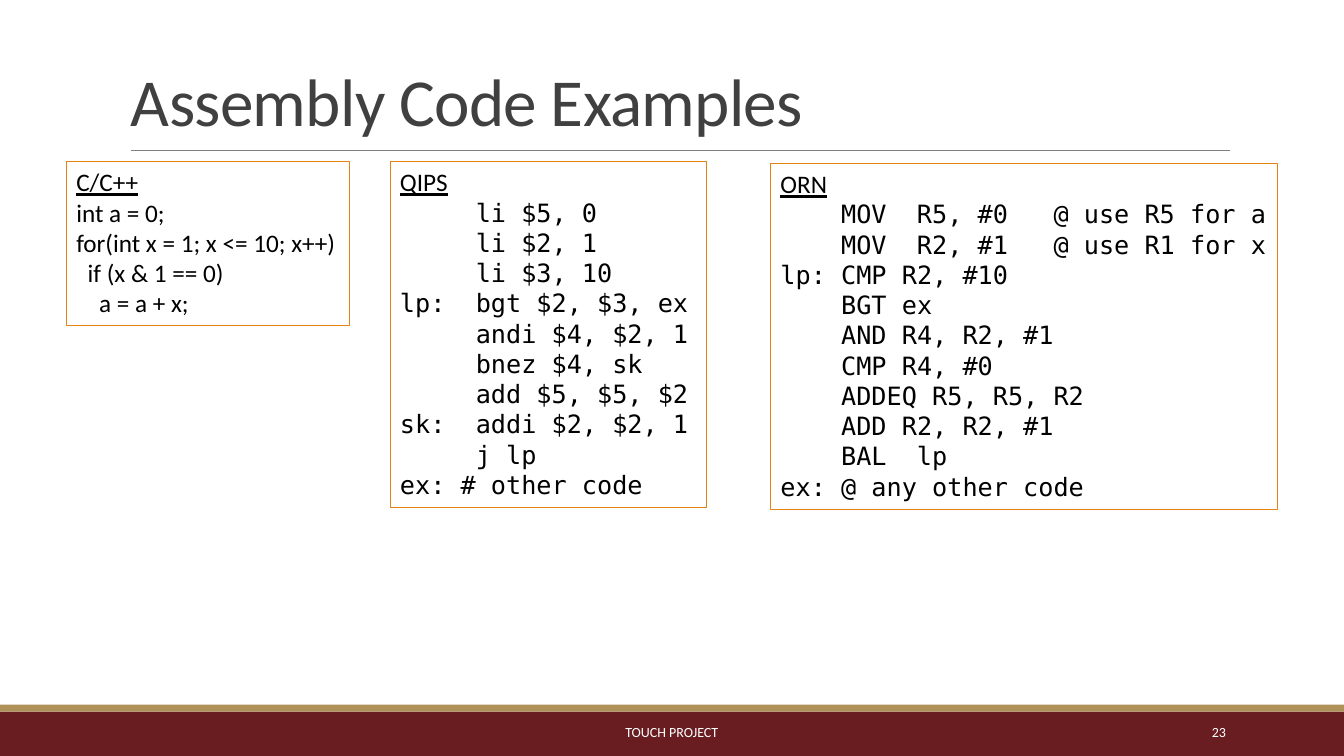
import pptx
import pptx.dml.color
import pptx.enum.shapes
import pptx.enum.text
import pptx.oxml
import pptx.oxml.ns
import pptx.util

Pt = pptx.util.Pt
RGB = pptx.dml.color.RGBColor
ALIGN = pptx.enum.text.PP_ALIGN
ANCHOR = pptx.enum.text.MSO_ANCHOR
SHAPE = pptx.enum.shapes.MSO_SHAPE

COLORS = {"maroon": "691D20", "gold": "B1915A", "rule": "808080", "title": "404040",
          "white": "FFFFFF", "black": "000000", "orange": "E48312"}
SLIDE_W, SLIDE_H = 960, 540
BAR_TOP, STRIPE_H = 508.3, 5
BODY, MONO = "Calibri", "DejaVu Sans Mono"
CODE_SIZE, INSET = 18, 7.2
SPACE_W = {BODY: 0.226 * CODE_SIZE, MONO: 0.602 * CODE_SIZE}

BARS = [(BAR_TOP, SLIDE_H - BAR_TOP, "maroon"), (BAR_TOP - STRIPE_H, STRIPE_H, "gold")]
LABELS = [
    ("Assembly Code Examples", (86.4, 22.3, 792, 81.4), 48, "title",
     {"alignment": ALIGN.LEFT, "line_spacing": 0.85}, ANCHOR.BOTTOM, -50),
    ("TOUCH PROJECT", (290.2, BAR_TOP, 379.4, 28.8), 10, "white",
     {"alignment": ALIGN.CENTER}, ANCHOR.MIDDLE, 0),
    ("23", (779.8, BAR_TOP, 103, 28.8), 10, "white",
     {"alignment": ALIGN.RIGHT}, ANCHOR.MIDDLE, 0),
]
LISTINGS = [
    {"name": "C/C++", "box": (47.4, 115.6, 202.3, 116.6), "font": BODY, "columns": (2, 4),
     "code": ["int a = 0;", "for(int x = 1; x <= 10; x++)", "\tif (x & 1 == 0)",
              "\t\ta = a + x;"]},
    {"name": "QIPS", "box": (278.6, 115.6, 226.4, 247), "font": MONO, "columns": (5,),
     "code": ["\tli $5, 0", "\tli $2, 1", "\tli $3, 10", "lp:\tbgt $2, $3, ex",
              "\tandi $4, $2, 1", "\tbnez $4, sk", "\tadd $5, $5, $2",
              "sk:\taddi $2, $2, 1", "\tj lp", "ex: # other code"]},
    {"name": "ORN", "box": (550.4, 116.8, 362.4, 247), "font": MONO, "columns": (4, 9, 18),
     "code": ["\tMOV\tR5, #0\t@ use R5 for a", "\tMOV\tR2, #1\t@ use R1 for x",
              "lp:\tCMP R2, #10", "\tBGT ex", "\tAND R4, R2, #1", "\tCMP R4, #0",
              "\tADDEQ R5, R5, R2", "\tADD R2, R2, #1", "\tBAL\tlp",
              "ex: @ any other code"]},
]


def color(name):
    """Return the named colour."""
    return RGB.from_string(COLORS[name])


def apply(target, values):
    """Set each value as an attribute of the target."""
    for key, value in values.items():
        setattr(target, key, value)


def add_run(p, text, font, size, tint, underline=False):
    """Add one formatted run to a paragraph."""
    r = p.add_run()
    r.text = text
    apply(r.font, {"name": font, "size": Pt(size), "underline": underline})
    r.font.color.rgb = color(tint)
    return r


def add_rect(s, box):
    """Add a rectangle without a shadow."""
    sp = s.shapes.add_shape(SHAPE.RECTANGLE, *map(Pt, box))
    sp.shadow.inherit = False
    return sp


def add_bar(s, top, height, tint):
    """Add a full-width colour bar."""
    sp = add_rect(s, (0, top, SLIDE_W, height))
    sp.fill.solid()
    sp.fill.fore_color.rgb = color(tint)
    sp.line.fill.background()


def add_rule(s):
    """Add the thin line under the title."""
    line = s.shapes.add_connector(pptx.enum.shapes.MSO_CONNECTOR.STRAIGHT,
                                  Pt(93.6), Pt(107.4), Pt(878.4), Pt(107.4))
    line.line.width = Pt(0.5)
    line.line.color.rgb = color("rule")
    effects = pptx.oxml.parse_xml("<a:effectLst %s/>" % pptx.oxml.ns.nsdecls("a"))
    line._element.spPr.append(effects)


def add_label(s, text, box, size, tint, layout, anchor, tracking):
    """Add a single-line text box."""
    tf = s.shapes.add_textbox(*map(Pt, box)).text_frame
    apply(tf, {"word_wrap": True, "vertical_anchor": anchor})
    p = tf.paragraphs[0]
    apply(p, layout)
    r = add_run(p, text, BODY, size, tint)
    if tracking:
        r.font._element.set("spc", str(tracking))


def add_tabs(p, stops):
    """Give a paragraph left tab stops."""
    tabs = "".join('<a:tab pos="%d" algn="l"/>' % Pt(stop) for stop in stops)
    p._p.get_or_add_pPr().append(pptx.oxml.parse_xml(
        "<a:tabLst %s>%s</a:tabLst>" % (pptx.oxml.ns.nsdecls("a"), tabs)))


def add_listing(s, listing):
    """Add an outlined code box with an underlined heading."""
    sp = add_rect(s, listing["box"])
    sp.fill.background()
    sp.line.width = Pt(0.75)
    sp.line.color.rgb = color("orange")
    tf = sp.text_frame
    apply(tf, {"word_wrap": True, "vertical_anchor": ANCHOR.TOP,
               "margin_left": Pt(INSET), "margin_right": 0})
    p = tf.paragraphs[0]
    p.alignment = ALIGN.LEFT
    add_run(p, listing["name"], BODY, CODE_SIZE, "black", True)
    stops = [column * SPACE_W[listing["font"]] for column in listing["columns"]]
    for code in listing["code"]:
        p = tf.add_paragraph()
        p.alignment = ALIGN.LEFT
        add_tabs(p, stops)
        add_run(p, code, listing["font"], CODE_SIZE, "black")


def main():
    """Build and save the slide."""
    prs = pptx.Presentation()
    apply(prs, {"slide_width": Pt(SLIDE_W), "slide_height": Pt(SLIDE_H)})
    s = prs.slides.add_slide(prs.slide_layouts[6])
    for bar in BARS:
        add_bar(s, *bar)
    add_rule(s)
    for label in LABELS:
        add_label(s, *label)
    for listing in LISTINGS:
        add_listing(s, listing)
    prs.save("out.pptx")


if __name__ == "__main__":
    main()
